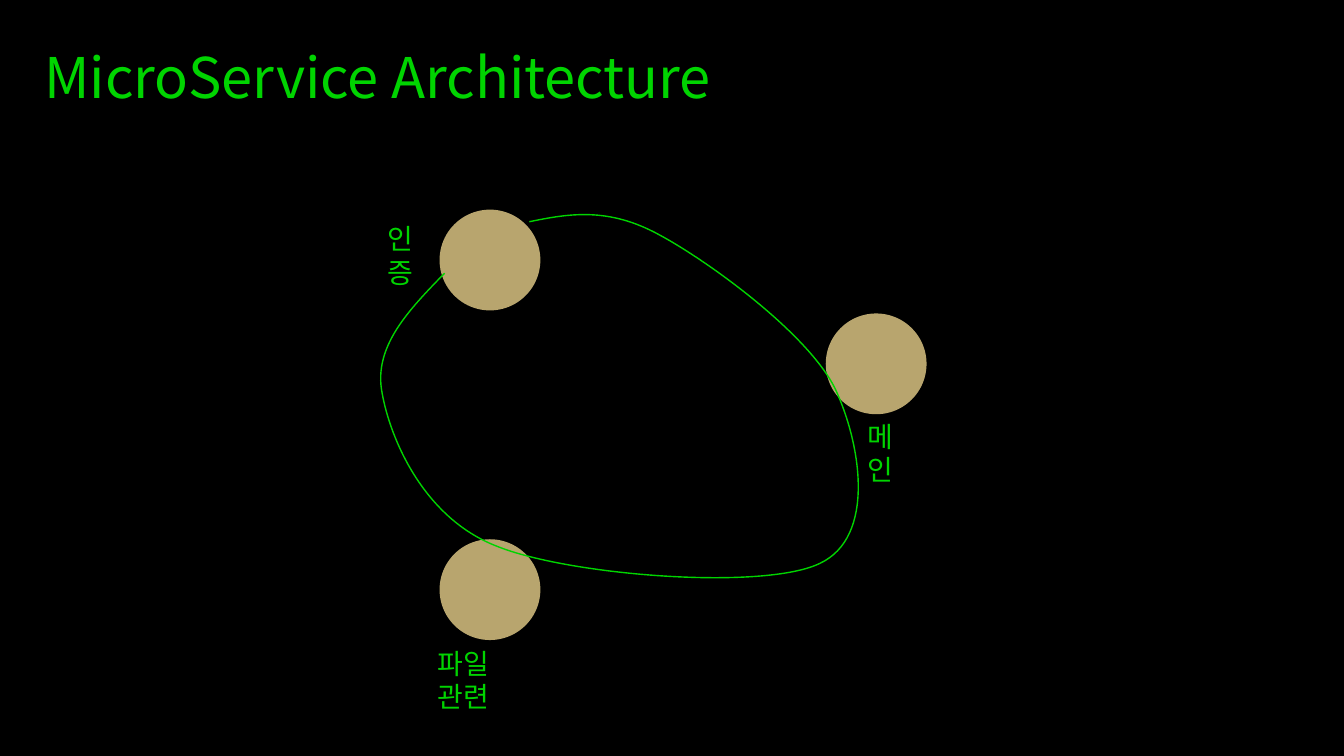
"""Build a slide of three microservices joined by one curved loop."""
from lxml import etree
from pptx import Presentation
from pptx import util as u
from pptx.dml.color import RGBColor
from pptx.enum import shapes, text
from pptx.oxml.ns import qn

THEME = {"back": "000000", "ink": "00D400", "node": "FFE699", "node_alpha": 72,
         "font": "Noto Sans CJK KR", "title": 40, "label": 20, "line": 1}
TITLE = ("MicroService Architecture", (0.34, 0.37, 7.11, 0.77))
DIAMETER = 1
SERVICES = [
    {"name": "인증", "node": (4.36, 2.08), "label": (3.75, 2.15), "width": 0.67},
    {"name": "메인", "node": (8.19, 3.11), "label": (8.51, 4.11), "width": 0.67},
    {"name": "파일 관련", "node": (4.36, 5.35), "label": (4.24, 6.36), "width": 1.21},
]
LABEL_HEIGHT = 0.44
LOOP_START = (4.41, 2.71)
LOOP_CURVES = [
    ((4.05, 3.08), (3.7, 3.44), (3.79, 3.9)),
    ((3.87, 4.35), (4.2, 5.14), (4.93, 5.42)),
    ((5.65, 5.71), (7.57, 5.86), (8.13, 5.59)),
    ((8.69, 5.33), (8.54, 4.4), (8.28, 3.85)),
    ((8.01, 3.31), (7.04, 2.6), (6.54, 2.33)),
    ((6.03, 2.05), (5.64, 2.12), (5.25, 2.2)),
]


def color(name):
    return RGBColor.from_string(THEME[name])


def inches(values):
    return [u.Inches(value) for value in values]


def add_text(page, words, area, size, ink="ink"):
    box = page.shapes.add_textbox(*inches(area))
    frame = box.text_frame
    frame.word_wrap = True
    frame.auto_size = text.MSO_AUTO_SIZE.SHAPE_TO_FIT_TEXT
    span = frame.paragraphs[0].add_run()
    span.text = words
    span.font.size = u.Pt(THEME[size])
    span.font.name = THEME["font"]
    span.font.color.rgb = color(ink)
    etree.SubElement(span.font._element, qn("a:ea"), typeface=THEME["font"])


def add_node(page, corner):
    node = page.shapes.add_shape(shapes.MSO_SHAPE.OVAL,
                                 *inches((*corner, DIAMETER, DIAMETER)))
    node.shadow.inherit = False
    node.fill.solid()
    node.fill.fore_color.rgb = color("node")
    node.line.fill.background()
    tint = node._element.spPr.find(qn("a:solidFill"))[0]
    etree.SubElement(tint, qn("a:alpha"), val=str(THEME["node_alpha"] * 1000))


def add_loop(page):
    builder = page.shapes.build_freeform(*inches(LOOP_START))
    builder.add_line_segments([inches(point) for curve in LOOP_CURVES for point in curve],
                              close=False)
    loop = builder.convert_to_shape()
    loop.shadow.inherit = False
    loop.fill.background()
    loop.line.color.rgb = color("ink")
    loop.line.width = u.Pt(THEME["line"])
    outline = next(loop._element.iter(qn("a:path")))
    segments = outline.findall(qn("a:lnTo"))
    for first in range(0, len(segments), 3):
        curve = etree.SubElement(outline, qn("a:cubicBezTo"))
        for segment in segments[first:first + 3]:
            curve.append(segment[0])
            outline.remove(segment)


deck = Presentation()
deck.slide_width, deck.slide_height = inches((13.33, 7.5))
page = deck.slides.add_slide(deck.slide_layouts[6])
page.background.fill.solid()
page.background.fill.fore_color.rgb = color("back")

add_text(page, *TITLE, size="title")
for service in SERVICES:
    add_node(page, service["node"])
add_loop(page)
for service in SERVICES:
    add_text(page, service["name"],
             (*service["label"], service["width"], LABEL_HEIGHT), size="label")
deck.save("out.pptx")
